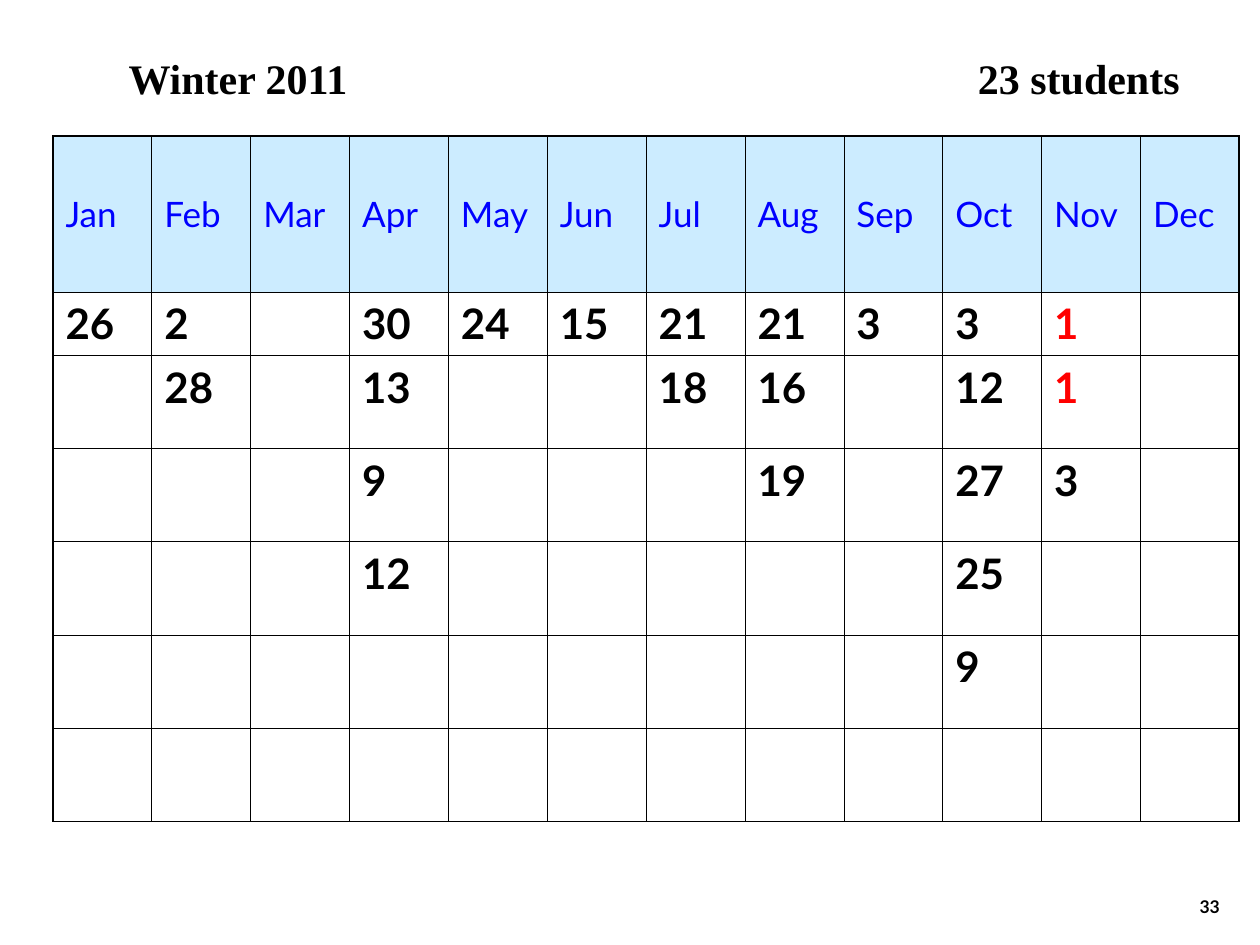
from dataclasses import dataclass

from pptx import Presentation
from pptx.dml.color import RGBColor
from pptx.enum.text import MSO_ANCHOR, PP_ALIGN
from pptx.oxml.xmlchemy import OxmlElement
from pptx.util import Inches, Pt

LEFT, RIGHT = PP_ALIGN.LEFT, PP_ALIGN.RIGHT
TOP, MIDDLE, BOTTOM = MSO_ANCHOR.TOP, MSO_ANCHOR.MIDDLE, MSO_ANCHOR.BOTTOM
TITLE_ONLY = 5


@dataclass(frozen=True)
class Theme:
    title_font: str = "Times New Roman"
    body_font: str = "Lato"
    ink: str = "000000"
    header_text: str = "0000FF"
    header_fill: str = "CCECFF"
    highlight: str = "FF0000"
    title_size: int = 24
    header_size: int = 20
    day_size: int = 24
    number_size: int = 10
    inner_line: float = 0.45
    outer_line: float = 1.08


class SlideBuilder:
    def __init__(self, slide, theme):
        self.slide = slide
        self.theme = theme

    def format_text(self, paragraph, font_name, size, color, bold=True):
        font = paragraph.runs[0].font
        font.name = font_name
        font.size = Pt(size)
        font.bold = bold
        font.color.rgb = RGBColor.from_string(color)

    def title(self, left_part, right_part, tab_position):
        """Title whose right part starts at a tab stop."""
        title = self.slide.shapes.title
        title.left, title.top = Inches(0.92), Inches(0.33)
        title.width, title.height = Inches(8.58), Inches(0.5)
        frame = title.text_frame
        frame.word_wrap = True
        frame.vertical_anchor = TOP
        frame.margin_top, frame.margin_bottom = Inches(0.09), 0
        frame.text = f"{left_part}\t{right_part}"
        heading = frame.paragraphs[0]
        heading.alignment = LEFT
        tabs = OxmlElement("a:tabLst")
        tab = OxmlElement("a:tab")
        tab.set("pos", str(tab_position))
        tab.set("algn", "l")
        tabs.append(tab)
        heading._p.get_or_add_pPr().append(tabs)
        self.format_text(heading, self.theme.title_font,
                         self.theme.title_size, self.theme.ink)

    def page_number(self, number):
        box = self.slide.shapes.add_textbox(
            Inches(7.7), Inches(6.83), Inches(2.08), Inches(0.5))
        frame = box.text_frame
        frame.word_wrap = True
        frame.vertical_anchor = BOTTOM
        frame.text = str(number)
        frame.paragraphs[0].alignment = RIGHT
        self.format_text(frame.paragraphs[0], self.theme.body_font,
                         self.theme.number_size, self.theme.ink)

    def border(self, cell, outer_sides):
        """Thin lines inside the grid, thicker ones on its outer sides."""
        properties = cell._tc.get_or_add_tcPr()
        for side in "LRTB":
            width = self.theme.outer_line if side in outer_sides else self.theme.inner_line
            line = OxmlElement(f"a:ln{side}")
            line.set("w", str(Pt(width)))
            fill = OxmlElement("a:solidFill")
            color = OxmlElement("a:srgbClr")
            color.set("val", self.theme.ink)
            fill.append(color)
            line.append(fill)
            properties.append(line)

    def calendar(self, months, days, highlighted, row_heights):
        theme = self.theme
        rows, columns = len(row_heights), len(months)
        width = Inches(9.42)
        table = self.slide.shapes.add_table(
            rows, columns, Inches(0.42), Inches(1.08),
            width, Inches(sum(row_heights))).table
        table.first_row = table.horz_banding = False
        for column in table.columns:
            column.width = width // columns
        for row, height in zip(table.rows, row_heights):
            row.height = Inches(height)

        for r in range(rows):
            for c, month in enumerate(months):
                cell = table.cell(r, c)
                edges = {"L": c == 0, "R": c == columns - 1,
                         "T": r == 0, "B": r == rows - 1}
                self.border(cell, [side for side, outer in edges.items() if outer])
                if r == 0:
                    cell.fill.solid()
                    cell.fill.fore_color.rgb = RGBColor.from_string(theme.header_fill)
                    cell.vertical_anchor = MIDDLE
                    cell.text_frame.text = month
                    self.format_text(cell.text_frame.paragraphs[0], theme.body_font,
                                     theme.header_size, theme.header_text, bold=False)
                    continue
                cell.fill.background()
                month_days = days.get(month, [])
                if r <= len(month_days):
                    cell.text_frame.text = str(month_days[r - 1])
                    color = theme.highlight if (month, r) in highlighted else theme.ink
                    self.format_text(cell.text_frame.paragraphs[0], theme.body_font,
                                     theme.day_size, color)


def main():
    presentation = Presentation()
    presentation.slide_width, presentation.slide_height = Inches(10), Inches(7.5)
    slide = presentation.slides.add_slide(presentation.slide_layouts[TITLE_ONLY])
    builder = SlideBuilder(slide, Theme())

    # Page number and heading
    builder.page_number(33)
    builder.title("Winter 2011", "23 students", Inches(6.74))

    # Days listed under each month
    months = ["Jan", "Feb", "Mar", "Apr", "May", "Jun",
              "Jul", "Aug", "Sep", "Oct", "Nov", "Dec"]
    days = {
        "Jan": [26],
        "Feb": [2, 28],
        "Apr": [30, 13, 9, 12],
        "May": [24],
        "Jun": [15],
        "Jul": [21, 18],
        "Aug": [21, 16, 19],
        "Sep": [3],
        "Oct": [3, 12, 27, 25, 9],
        "Nov": [1, 1, 3],
    }
    shared_days = {("Nov", 1), ("Nov", 2)}
    builder.calendar(months, days, shared_days, [1.24, 0.5] + [0.74] * 5)

    presentation.save("out.pptx")


if __name__ == "__main__":
    main()
